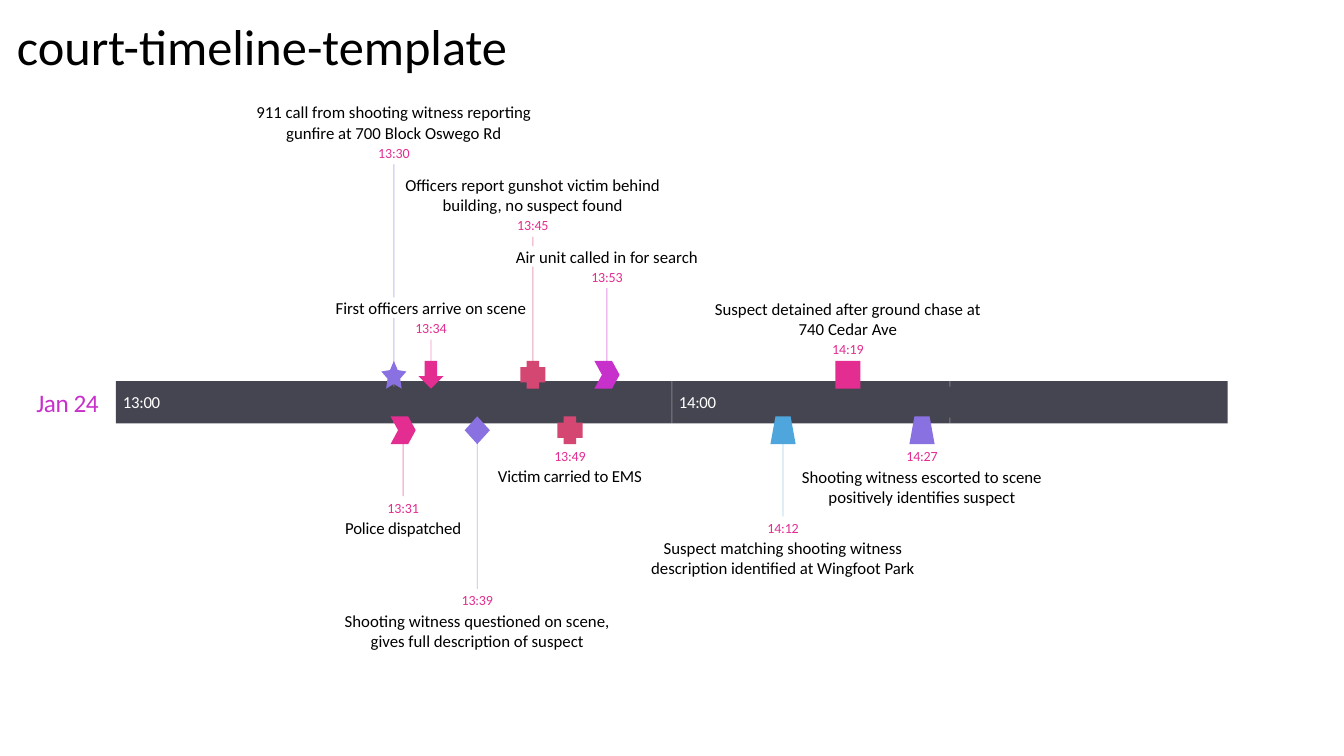
from dataclasses import dataclass

import lxml.etree
import pptx
import pptx.dml.color
import pptx.enum.shapes
import pptx.enum.text
import pptx.oxml.ns
import pptx.shapes.autoshape
import pptx.shapes.connector
import pptx.shapes.shapetree
import pptx.util

Pt = pptx.util.Pt
RGBColor = pptx.dml.color.RGBColor
Preset = pptx.enum.shapes.MSO_SHAPE
Align = pptx.enum.text.PP_ALIGN
qn = pptx.oxml.ns.qn

BLACK = RGBColor(0x00, 0x00, 0x00)
WHITE = RGBColor(0xFF, 0xFF, 0xFF)
SLATE = RGBColor(0x45, 0x45, 0x51)
PINK = RGBColor(0xE3, 0x2D, 0x91)
MAGENTA = RGBColor(0xC8, 0x30, 0xCC)
VIOLET = RGBColor(0x89, 0x71, 0xE1)
ROSE = RGBColor(0xD5, 0x47, 0x73)
BLUE = RGBColor(0x4E, 0xA6, 0xDC)

FONT = "Calibri"
BAR_LEFT, BAR_TOP, BAR_WIDTH, BAR_HEIGHT = 82.8, 272.2, 794.2, 30.2
BAR_BOTTOM = BAR_TOP + BAR_HEIGHT
START_MINUTE, SPAN_MINUTES = 13 * 60, 120
MARKER_WIDTH, MARKER_HEIGHT = 18, 19.8
MARKER_TOP_ABOVE, MARKER_TOP_BELOW = 257.8, 297.4
TIME_WIDTH, TIME_HEIGHT = 23, 12.2
LINE_HEIGHT = 14.7
HALF_TICK = 4


@dataclass(frozen=True)
class Event:
    time: str
    label: str
    time_top: float
    label_width: float
    lines: int
    marker: Preset
    color: RGBColor
    stem_width: float = 0.6
    spacing: float = 0

    @property
    def x(self) -> float:
        return time_to_x(self.time)

    @property
    def above(self) -> bool:
        return self.time_top < BAR_TOP

    @property
    def label_height(self) -> float:
        return self.lines * LINE_HEIGHT

    @property
    def label_top(self) -> float:
        return self.time_top - self.label_height - 1 if self.above else self.time_top + 13

    @property
    def marker_top(self) -> float:
        return MARKER_TOP_ABOVE if self.above else MARKER_TOP_BELOW

    def label_covers(self, x: float) -> bool:
        return abs(x - self.x) < self.label_width / 2


EVENTS = [
    Event("13:30", "911 call from shooting witness reporting gunfire at 700 Block Oswego Rd",
          103, 200, 2, Preset.STAR_5_POINT, VIOLET),
    Event("13:34", "First officers arrive on scene", 228.2, 137, 1, Preset.DOWN_ARROW, PINK),
    Event("13:45", "Officers report gunshot victim behind building, no suspect found",
          154.8, 185, 2, Preset.CROSS, ROSE),
    Event("13:53", "Air unit called in for search", 191.5, 131, 1, Preset.CHEVRON, MAGENTA, 0.75),
    Event("14:19", "Suspect detained after ground chase at 740 Cedar Ave",
          243.4, 193, 2, Preset.RECTANGLE, PINK),
    Event("13:31", "Police dispatched", 356.4, 85, 1, Preset.CHEVRON, PINK, 0.75, -0.1),
    Event("13:39", "Shooting witness questioned on scene, gives full description of suspect",
          422.6, 193, 2, Preset.DIAMOND, VIOLET),
    Event("13:49", "Victim carried to EMS", 319.7, 106, 1, Preset.CROSS, ROSE, spacing=-0.1),
    Event("14:12", "Suspect matching shooting witness description identified at Wingfoot Park",
          370.8, 189, 2, Preset.FLOWCHART_MANUAL_OPERATION, BLUE),
    Event("14:27", "Shooting witness escorted to scene positively identifies suspect",
          319.7, 175, 2, Preset.FLOWCHART_MANUAL_OPERATION, VIOLET),
]


def time_to_x(time: str) -> float:
    hours, minutes = map(int, time.split(":"))
    return BAR_LEFT + (hours * 60 + minutes - START_MINUTE) * BAR_WIDTH / SPAN_MINUTES


def add_text(shapes: pptx.shapes.shapetree.SlideShapes, text: str, left: float, top: float,
             width: float, height: float, size: float, color: RGBColor, spacing: float = 0,
             align: Align = Align.CENTER, wrap: bool = True, grow: bool = True,
             inset: bool = False) -> None:
    box = shapes.add_textbox(Pt(left), Pt(top), Pt(width), Pt(height))
    frame = box.text_frame
    frame.word_wrap = wrap
    sizing = pptx.enum.text.MSO_AUTO_SIZE
    frame.auto_size = sizing.SHAPE_TO_FIT_TEXT if grow else sizing.NONE
    if not inset:
        frame.margin_left = frame.margin_right = frame.margin_top = frame.margin_bottom = Pt(0)
        frame.vertical_anchor = pptx.enum.text.MSO_ANCHOR.MIDDLE
    para = frame.paragraphs[0]
    para.alignment = align
    span = para.add_run()
    span.text = text
    span.font.name = FONT
    span.font.size = Pt(size)
    span.font.color.rgb = color
    if spacing:
        span.font._element.set("spc", str(round(spacing * 100)))


def add_vertical(shapes: pptx.shapes.shapetree.SlideShapes, x: float, top: float, bottom: float,
                 color: RGBColor, width: float, opacity: int) -> pptx.shapes.connector.Connector:
    """Draw a half-transparent vertical line; opacity is in percent."""
    line = shapes.add_connector(pptx.enum.shapes.MSO_CONNECTOR.STRAIGHT,
                                Pt(x), Pt(top), Pt(x), Pt(bottom))
    line.line.color.rgb = color
    line.line.width = Pt(width)
    properties = line._element.spPr
    tint = properties.find(".//" + qn("a:srgbClr"))
    lxml.etree.SubElement(tint, qn("a:alpha")).set("val", str(opacity * 1000))
    lxml.etree.SubElement(properties, qn("a:effectLst"))
    return line


def add_filled(shapes: pptx.shapes.shapetree.SlideShapes, preset: Preset, left: float, top: float,
               width: float, height: float, color: RGBColor) -> pptx.shapes.autoshape.Shape:
    shape = shapes.add_shape(preset, Pt(left), Pt(top), Pt(width), Pt(height))
    shape.shadow.inherit = False
    shape.fill.solid()
    shape.fill.fore_color.rgb = color
    shape.line.fill.background()
    return shape


def add_stem(shapes: pptx.shapes.shapetree.SlideShapes, event: Event) -> None:
    """Run from time to marker, leaving gaps where other labels cross."""
    middle = event.marker_top + MARKER_HEIGHT / 2
    if event.above:
        top, bottom = event.time_top + 14.4, middle
    else:
        top, bottom = middle, event.time_top - 2
    if bottom - top < MARKER_HEIGHT / 2 + 1:
        return
    crossing = [other for other in EVENTS
                if other is not event and other.label_covers(event.x)
                and top < other.label_top < bottom]
    for other in sorted(crossing, key=lambda crossed: crossed.label_top):
        add_vertical(shapes, event.x, top, other.label_top, event.color, event.stem_width, 50)
        top = other.label_top + other.label_height
    add_vertical(shapes, event.x, top, bottom, event.color, event.stem_width, 50)


def add_marker(shapes: pptx.shapes.shapetree.SlideShapes, event: Event) -> None:
    marker = add_filled(shapes, event.marker, event.x - MARKER_WIDTH / 2, event.marker_top,
                        MARKER_WIDTH, MARKER_HEIGHT, event.color)
    if event.marker == Preset.CHEVRON:
        marker.adjustments[0] = 0.3
    elif event.marker == Preset.STAR_5_POINT:
        marker.adjustments[0] = 0.25
    elif event.marker == Preset.FLOWCHART_MANUAL_OPERATION:
        marker._element.spPr.get_or_add_xfrm().set("flipV", "1")


def add_bar(shapes: pptx.shapes.shapetree.SlideShapes) -> None:
    bar = add_filled(shapes, Preset.RECTANGLE, BAR_LEFT, BAR_TOP, BAR_WIDTH, BAR_HEIGHT, SLATE)
    for hour in ("13:00", "14:00"):
        add_text(shapes, hour, time_to_x(hour) + 5, 280, 28, 14.6, 12, WHITE, -0.2,
                 Align.LEFT, wrap=False, grow=False)
    hour_tick = add_vertical(shapes, time_to_x("14:00"), BAR_TOP, BAR_BOTTOM, WHITE, 0.75, 30)
    hour_tick.begin_connect(bar, 0)
    hour_tick.end_connect(bar, 2)
    for half_hour in ("13:30", "14:30"):
        for top in (BAR_TOP, BAR_BOTTOM - HALF_TICK):
            add_vertical(shapes, time_to_x(half_hour), top, top + HALF_TICK, WHITE, 0.75, 30)


def main() -> None:
    deck = pptx.Presentation()
    deck.slide_width, deck.slide_height = Pt(960), Pt(540)
    shapes = deck.slides.add_slide(deck.slide_layouts[6]).shapes
    add_text(shapes, "Jan 24", 25.2, 276.5, 46, 22, 18, MAGENTA, -0.3, wrap=False)
    for event in EVENTS:
        add_stem(shapes, event)
    add_bar(shapes)
    for event in EVENTS:
        add_marker(shapes, event)
    for event in EVENTS:
        add_text(shapes, event.label, event.x - event.label_width / 2, event.label_top,
                 event.label_width, event.label_height, 12, BLACK, event.spacing)
        add_text(shapes, event.time, event.x - TIME_WIDTH / 2, event.time_top,
                 TIME_WIDTH, TIME_HEIGHT, 10, PINK, -0.1)
    add_text(shapes, "court-timeline-template", 5, 7.2, 582.5, 51, 36, BLACK,
             align=Align.LEFT, inset=True)
    deck.save("out.pptx")


if __name__ == "__main__":
    main()
